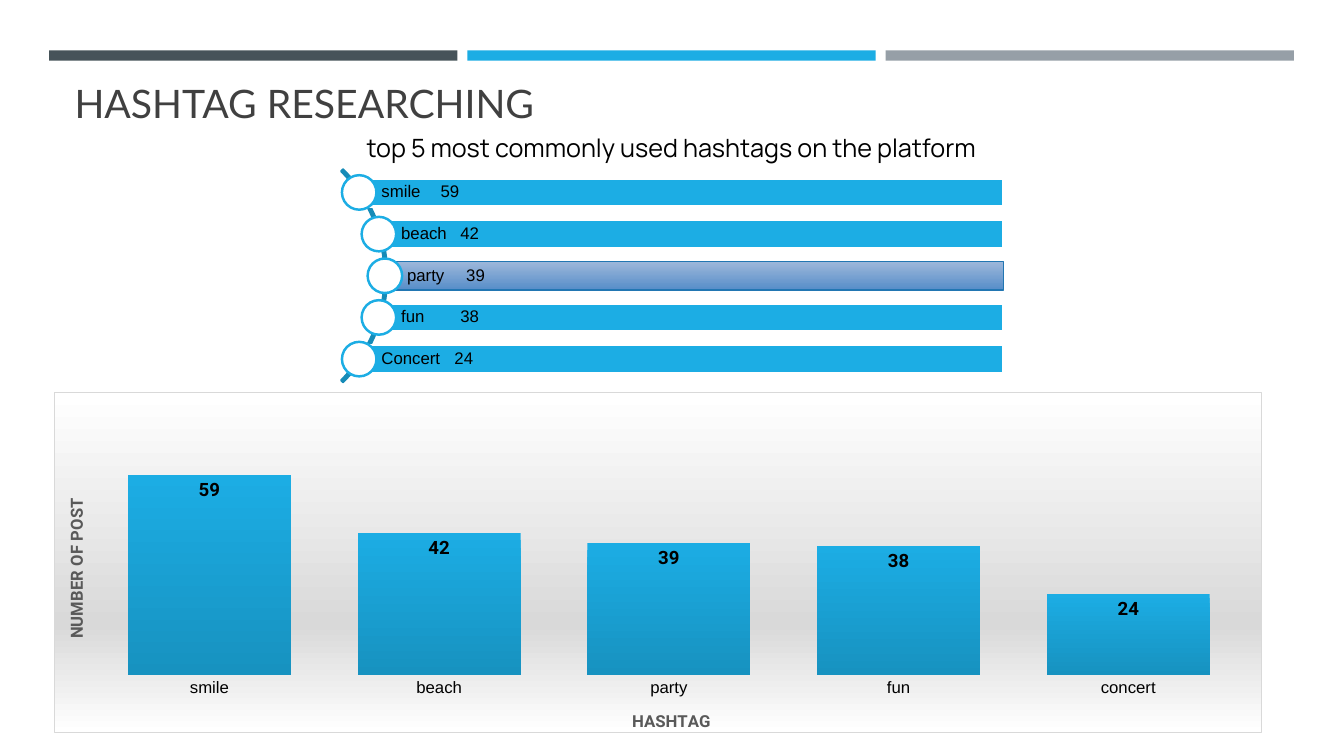
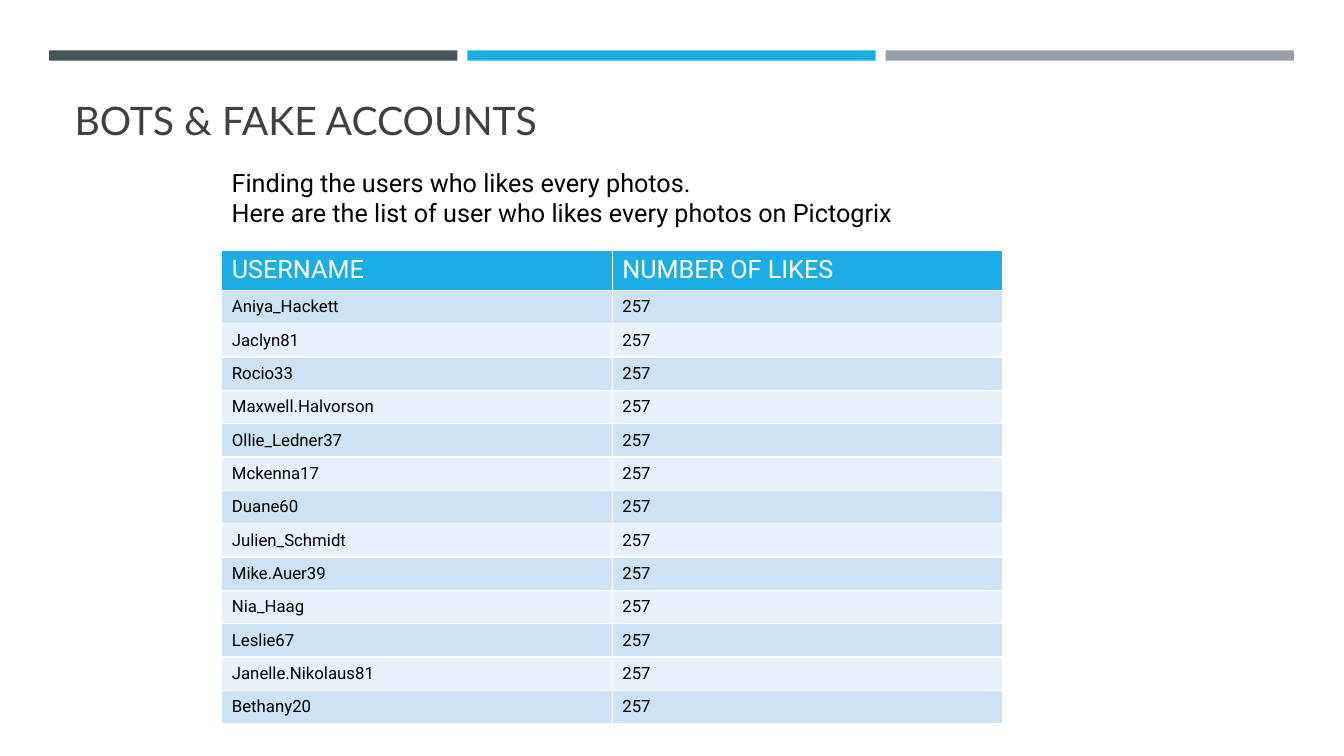
from pptx import Presentation
from pptx.chart.data import CategoryChartData
from pptx.dml.color import RGBColor
from pptx.enum.chart import XL_CHART_TYPE, XL_LABEL_POSITION, XL_TICK_MARK
from pptx.enum.shapes import MSO_SHAPE
from pptx.enum.text import MSO_ANCHOR, PP_ALIGN
from pptx.oxml import parse_xml
from pptx.oxml.ns import nsdecls, qn
from pptx.util import Cm, Pt

RECTANGLE = MSO_SHAPE.RECTANGLE
OVAL = MSO_SHAPE.OVAL
BLOCK_ARC = MSO_SHAPE.BLOCK_ARC
TOP, MIDDLE, BOTTOM = MSO_ANCHOR.TOP, MSO_ANCHOR.MIDDLE, MSO_ANCHOR.BOTTOM
LEFT = PP_ALIGN.LEFT
COLUMNS = XL_CHART_TYPE.COLUMN_CLUSTERED
INSIDE_END = XL_LABEL_POSITION.INSIDE_END
NO_TICKS = XL_TICK_MARK.NONE

COLORS = {
    "white": "FFFFFF", "black": "000000", "title": "404040", "label": "595959",
    "slate": "465359", "blue": "1CADE4", "grey": "969FA7", "deep": "1792C0",
    "arc": "168BB7", "steel_light": "9DB7DA", "steel": "578EC9",
    "steel_line": "2276B2", "silver": "D9D9D9",
    "row_dark": "CDE3F5", "row_light": "E8F1FA",
}
HASHTAGS = {"smile": 59, "beach": 42, "party": 39, "fun": 38, "concert": 24}
USERS = [
    "Aniya_Hackett", "Jaclyn81", "Rocio33", "Maxwell.Halvorson",
    "Ollie_Ledner37", "Mckenna17", "Duane60", "Julien_Schmidt",
    "Mike.Auer39", "Nia_Haag", "Leslie67", "Janelle.Nikolaus81", "Bethany20",
]
LIKES = "257"


def rgb(name):
    return RGBColor.from_string(COLORS[name])


def set_font(font, name, size, color, bold=False):
    font.name, font.size, font.bold = name, Pt(size), bold
    font.color.rgb = rgb(color)


def write(frame, text, font="Roboto", size=18, color="black", bold=False,
          spacing=None, tab=None):
    for index, line in enumerate(text.split("\n")):
        para = frame.add_paragraph() if index else frame.paragraphs[0]
        para.alignment = LEFT
        if spacing:
            para.line_spacing = spacing
        if tab:
            stops = f'<a:tabLst {nsdecls("a")}><a:tab pos="{Cm(tab)}" algn="l"/></a:tabLst>'
            para._p.get_or_add_pPr().append(parse_xml(stops))
        span = para.add_run()
        span.text = line
        set_font(span.font, font, size, color, bold)


def paint(fill, colors):
    if isinstance(colors, str):
        fill.solid()
        fill.fore_color.rgb = rgb(colors)
        return
    fill.gradient()
    fill.gradient_angle = 270
    for stop, color in zip(fill.gradient_stops, colors):
        stop.color.rgb = rgb(color)


def place(element, left, top, width=None, height=None):
    inner = '<c:layoutTarget val="inner"/>' if width else ""
    values = {"x": left, "y": top, "w": width, "h": height}
    modes = "".join(f'<c:{key}Mode val="edge"/>' for key in "xy")
    sizes = "".join(f'<c:{key} val="{value}"/>'
                    for key, value in values.items() if value is not None)
    layout = parse_xml(f'<c:layout {nsdecls("c")}><c:manualLayout>'
                       f'{inner}{modes}{sizes}</c:manualLayout></c:layout>')
    old = element.find(qn("c:layout"))
    if old is not None:
        element.remove(old)
    text = element.find(qn("c:tx"))
    if text is None:
        element.insert(0, layout)
    else:
        text.addnext(layout)


class Slides:
    def __init__(self):
        self.deck = Presentation()
        self.deck.slide_width, self.deck.slide_height = Cm(33.87), Cm(19.05)
        self.page = None

    def add_page(self, title, title_top):
        self.page = self.deck.slides.add_slide(self.deck.slide_layouts[6])
        for index, color in enumerate(("slate", "blue", "grey")):
            self.shape(RECTANGLE, 1.24 + index * 10.54, 1.27, 10.29, 0.26, color)
        self.text(title, 1.63, title_top, 30.63, 3.3, anchor=BOTTOM,
                  font="Lato", size=28, color="title")

    def shape(self, kind, left, top, width, height, fill, line=None, weight=1.75):
        shape = self.page.shapes.add_shape(
            kind, Cm(left), Cm(top), Cm(width), Cm(height))
        shape.shadow.inherit = False
        paint(shape.fill, fill)
        if line:
            shape.line.color.rgb = rgb(line)
            shape.line.width = Pt(weight)
        else:
            shape.line.fill.background()
        return shape

    def text(self, text, left, top, width, height, anchor=TOP, **style):
        box = self.page.shapes.add_textbox(Cm(left), Cm(top), Cm(width), Cm(height))
        box.text_frame.word_wrap = True
        box.text_frame.vertical_anchor = anchor
        write(box.text_frame, text, **style)

    def hashtag_list(self, counts):
        center_x, center_y, radius, pitch = 5.97, 6.95, 3.73, 1.05
        bar_right, bar_height, dot, arc_size = 25.29, 0.71, 0.87, 7.57
        arc = self.shape(BLOCK_ARC, center_x - arc_size / 2, center_y - arc_size / 2,
                         arc_size, arc_size, "arc", "arc")
        for index, value in enumerate((189, 27, 0.008)):
            arc.adjustments[index] = value
        middle = len(counts) // 2
        for index, (name, count) in enumerate(counts.items()):
            offset = (index - middle) * pitch
            left = center_x + (radius ** 2 - offset ** 2) ** 0.5
            y = center_y + offset
            style = ("blue", "white", 1.75)
            if index == middle:
                style = (("steel_light", "steel"), "steel_line", 1)
            bar = self.shape(RECTANGLE, left, y - bar_height / 2,
                             bar_right - left, bar_height, *style)
            frame = bar.text_frame
            frame.margin_left = Cm(0.56)
            frame.margin_top = frame.margin_right = frame.margin_bottom = Cm(0.08)
            frame.vertical_anchor = MIDDLE
            last = name == "concert"
            write(frame, f"{name.capitalize() if last else name}\t{count}",
                  font="Arial", size=12, spacing=0.9, tab=1.84 if last else 1.49)
            self.shape(OVAL, left - dot / 2, y - dot / 2, dot, dot, "white", "blue")

    def axis_title(self, axis, text, left, top, turn=0):
        title = axis.axis_title
        write(title.text_frame, text, size=12, color="label", bold=True)
        title.element.find(".//" + qn("a:bodyPr")).set("rot", str(turn * 60000))
        place(title.element, left, top)

    def column_chart(self, counts, left, top, width, height):
        data = CategoryChartData()
        data.categories = list(counts)
        data.add_series("Series 1", list(counts.values()))
        chart = self.page.shapes.add_chart(
            COLUMNS, Cm(left), Cm(top), Cm(width), Cm(height), data).chart
        chart.has_legend = chart.has_title = False
        set_font(chart.font, "Roboto", 10, "black")

        plot = chart.plots[0]
        plot.gap_width, plot.vary_by_categories = 41, False
        paint(plot.series[0].format.fill, ("blue", "deep"))
        plot.has_data_labels = True
        labels = plot.data_labels
        labels.show_value, labels.position = True, INSIDE_END
        set_font(labels.font, "Roboto", 13.3, "black", True)

        names, values = chart.category_axis, chart.value_axis
        names.major_tick_mark = NO_TICKS
        names.format.line.fill.background()
        set_font(names.tick_labels.font, "Arial", 12, "black")
        values.minimum_scale, values.maximum_scale = 0, 70
        values.has_major_gridlines = values.visible = False
        self.axis_title(names, "HASHTAG", 0.476, 0.925)
        self.axis_title(values, "NUMBER OF POST", 0.006, 0.307, -90)

        body = chart.element.find(qn("c:chart"))
        place(body.find(qn("c:plotArea")), 0.033, 0.132, 0.952, 0.699)
        stops = "".join(
            f'<a:gs pos="{position * 1000}"><a:srgbClr val="{COLORS[color]}"/></a:gs>'
            for position, color in ((0, "white"), (68, "silver"), (100, "white")))
        body.addnext(parse_xml(
            f'<c:spPr {nsdecls("c", "a")}><a:gradFill><a:gsLst>{stops}</a:gsLst>'
            f'<a:lin ang="5400000" scaled="0"/></a:gradFill><a:ln w="{Pt(0.75)}">'
            f'<a:solidFill><a:srgbClr val="{COLORS["silver"]}"/></a:solidFill>'
            '</a:ln></c:spPr>'))

    def cell(self, cell, text, fill, anchor, **style):
        paint(cell.fill, fill)
        cell.vertical_anchor = anchor
        write(cell.text_frame, text, **style)
        properties = cell._tc.get_or_add_tcPr()
        for index, side in enumerate(("lnL", "lnR", "lnT", "lnB")):
            properties.insert(index, parse_xml(
                f'<a:{side} {nsdecls("a")} w="{Pt(1)}"><a:solidFill>'
                f'<a:srgbClr val="{COLORS["white"]}"/></a:solidFill></a:{side}>'))

    def table(self, header, rows, left, top, width, header_height, row_height):
        height = header_height + row_height * len(rows)
        table = self.page.shapes.add_table(
            len(rows) + 1, len(header), Cm(left), Cm(top), Cm(width), Cm(height)).table
        table.first_row = table.horz_banding = False
        for column in table.columns:
            column.width = Cm(width / len(header))
        for index, texts in enumerate([header] + rows):
            table.rows[index].height = Cm(row_height if index else header_height)
            fill, anchor, style = "blue", TOP, {"color": "white"}
            if index:
                fill = "row_dark" if index % 2 else "row_light"
                anchor, style = MIDDLE, {"size": 12}
            for column, text in enumerate(texts):
                self.cell(table.cell(index, column), text, fill, anchor, **style)


def main():
    slides = Slides()

    slides.add_page("HASHTAG RESEARCHING", 0)
    slides.column_chart(HASHTAGS, 1.37, 9.88, 30.43, 8.69)
    slides.hashtag_list(HASHTAGS)
    slides.text("top 5 most commonly used hashtags on the platform",
                8.99, 3.2, 16.79, 1.02, font="Manrope")

    slides.add_page("BOTS & FAKE ACCOUNTS", 0.43)
    slides.text("Finding the users who likes every photos.\n"
                "Here are the list of user who likes every photos on Pictogrix",
                5.59, 4.09, 18.92, 1.8)
    slides.table(["USERNAME", "NUMBER OF LIKES"], [[user, LIKES] for user in USERS],
                 5.59, 6.3, 19.68, 1, 0.84)

    slides.deck.save("out.pptx")


if __name__ == "__main__":
    main()
